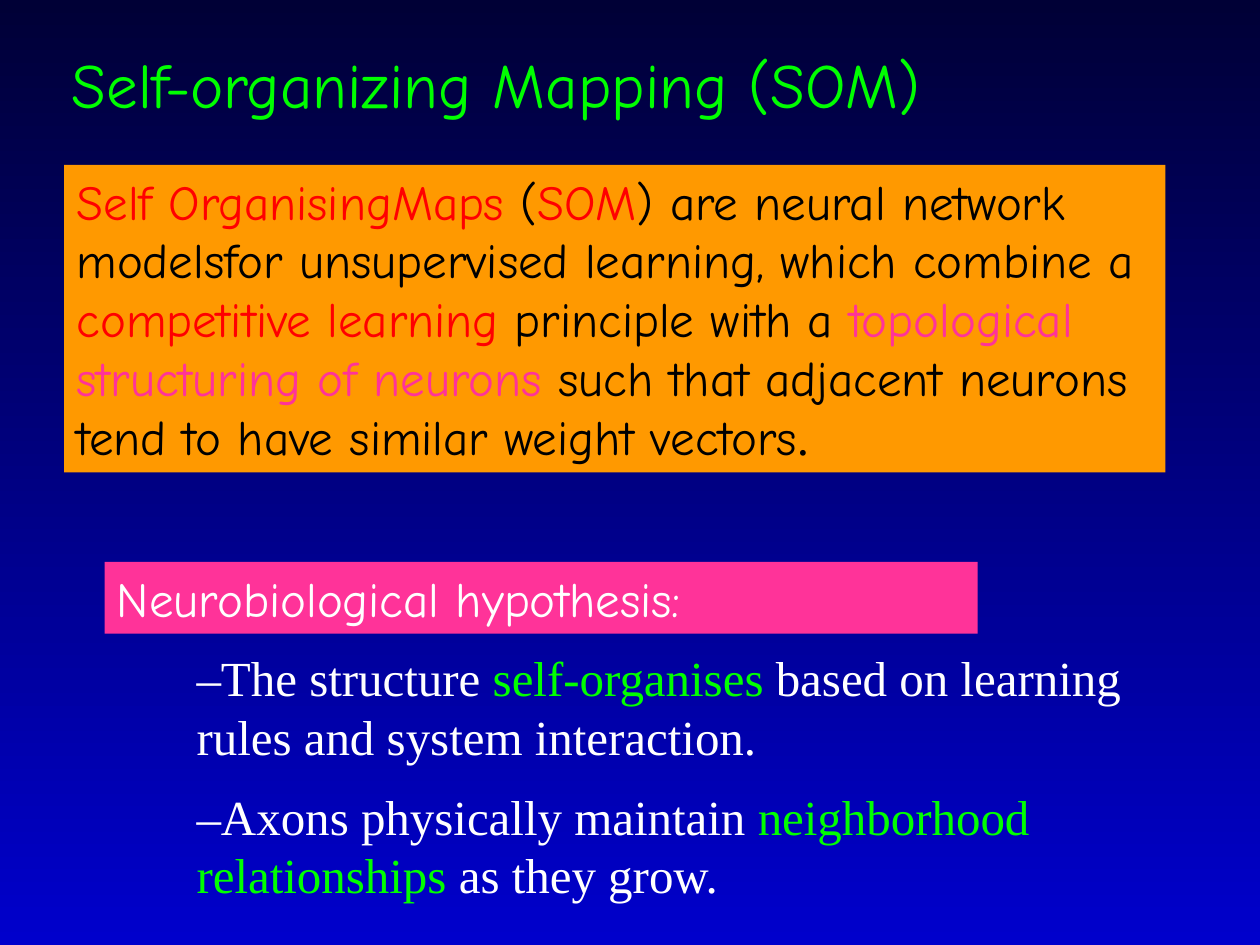
from pptx import Presentation
from pptx.dml.color import RGBColor
from pptx.enum.shapes import MSO_SHAPE
from pptx.enum.text import MSO_ANCHOR, MSO_AUTO_SIZE, PP_ALIGN
from pptx.oxml import parse_xml
from pptx.oxml.ns import nsdecls
from pptx.util import Inches, Pt

NAVY = RGBColor(0x00, 0x00, 0x36)
BLUE = RGBColor(0x00, 0x00, 0xCC)
GREEN = RGBColor(0x00, 0xFF, 0x00)
ORANGE = RGBColor(0xFF, 0x99, 0x00)
PINK = RGBColor(0xFF, 0x33, 0x99)
RED = RGBColor(0xFF, 0x00, 0x00)
BLACK = RGBColor(0x00, 0x00, 0x00)
WHITE = RGBColor(0xFF, 0xFF, 0xFF)
COMIC, TIMES = "Comic Neue", "Times New Roman"
LINE = 1.2  # line height as a multiple of the type size


def place(sp, left, top, width, height):
    """Position a shape in inches and set up its text frame."""
    sp.left, sp.top = Inches(left), Inches(top)
    sp.width, sp.height = Inches(width), Inches(height)
    tf = sp.text_frame
    tf.word_wrap = True
    tf.auto_size = MSO_AUTO_SIZE.NONE
    tf.vertical_anchor = MSO_ANCHOR.TOP
    return tf


def write(p, runs, font, size=28):
    """Fill a paragraph with (text, colour) runs."""
    p.alignment = PP_ALIGN.LEFT
    p.line_spacing = Pt(size * LINE)
    p.space_before = Pt(0)
    p.font.name, p.font.size = font, Pt(size)
    for text, color in runs:
        r = p.add_run()
        r.text = text
        r.font.name, r.font.size = font, Pt(size)
        r.font.color.rgb = color


prs = Presentation()
prs.slide_width, prs.slide_height = Inches(10), Inches(7.5)
s = prs.slides.add_slide(prs.slide_layouts[1])

# Background gradient, dark at the top
fill = s.background.fill
fill.gradient()
fill.gradient_angle = 270
for stop, position, color in zip(fill.gradient_stops, (0, 1), (NAVY, BLUE)):
    stop.position = position
    stop.color.rgb = color

# Title
tf = place(s.shapes.title, 0.47, 0.31, 6.98, 0.7)
tf.word_wrap = False
write(tf.paragraphs[0], [("Self-organizing Mapping (SOM)", GREEN)], COMIC, 36)

# Coloured panels: definition and hypothesis heading
definition = [
    ("Self OrganisingMaps", RED),
    (" (", BLACK),
    ("SOM", RED),
    (") are neural network modelsfor unsupervised learning, which combine a ", BLACK),
    ("competitive learning", RED),
    (" principle with a ", BLACK),
    ("topological structuring of neurons", PINK),
    (" such that adjacent neurons tend to have similar weight vectors", BLACK),
    (".", BLACK),
]
panels = [
    ((0.51, 1.31, 8.74, 2.44), ORANGE, definition),
    ((0.83, 4.46, 6.93, 0.57), PINK, [("Neurobiological hypothesis:", WHITE)]),
]
for box, color, runs in panels:
    sp = s.shapes.add_shape(MSO_SHAPE.RECTANGLE, 0, 0, 0, 0)
    sp.shadow.inherit = False
    sp.fill.solid()
    sp.fill.fore_color.rgb = color
    sp.line.fill.background()
    p = place(sp, *box).paragraphs[0]
    write(p, runs, COMIC)
    if runs is definition:
        p.runs[-1].font.name = TIMES  # closing full stop

# Hypothesis points
points = [
    [("–The structure ", WHITE), ("self-organises", GREEN),
     (" based on learning rules and system interaction.", WHITE)],
    [("–Axons physically maintain ", WHITE), ("neighborhood relationships", GREEN),
     (" as they grow.", WHITE)],
]
tf = place(s.placeholders[1], 1.46, 5.09, 8.2, 2.14)
for i, runs in enumerate(points):
    p = tf.add_paragraph() if i else tf.paragraphs[0]
    write(p, runs, TIMES)
    p.space_after = Pt(12)
    pPr = p._p.get_or_add_pPr()
    pPr.set("marL", "0")
    pPr.set("indent", "0")
    pPr.insert_element_before(parse_xml(f"<a:buNone {nsdecls('a')}/>"), "a:tabLst", "a:defRPr")

prs.save("out.pptx")
